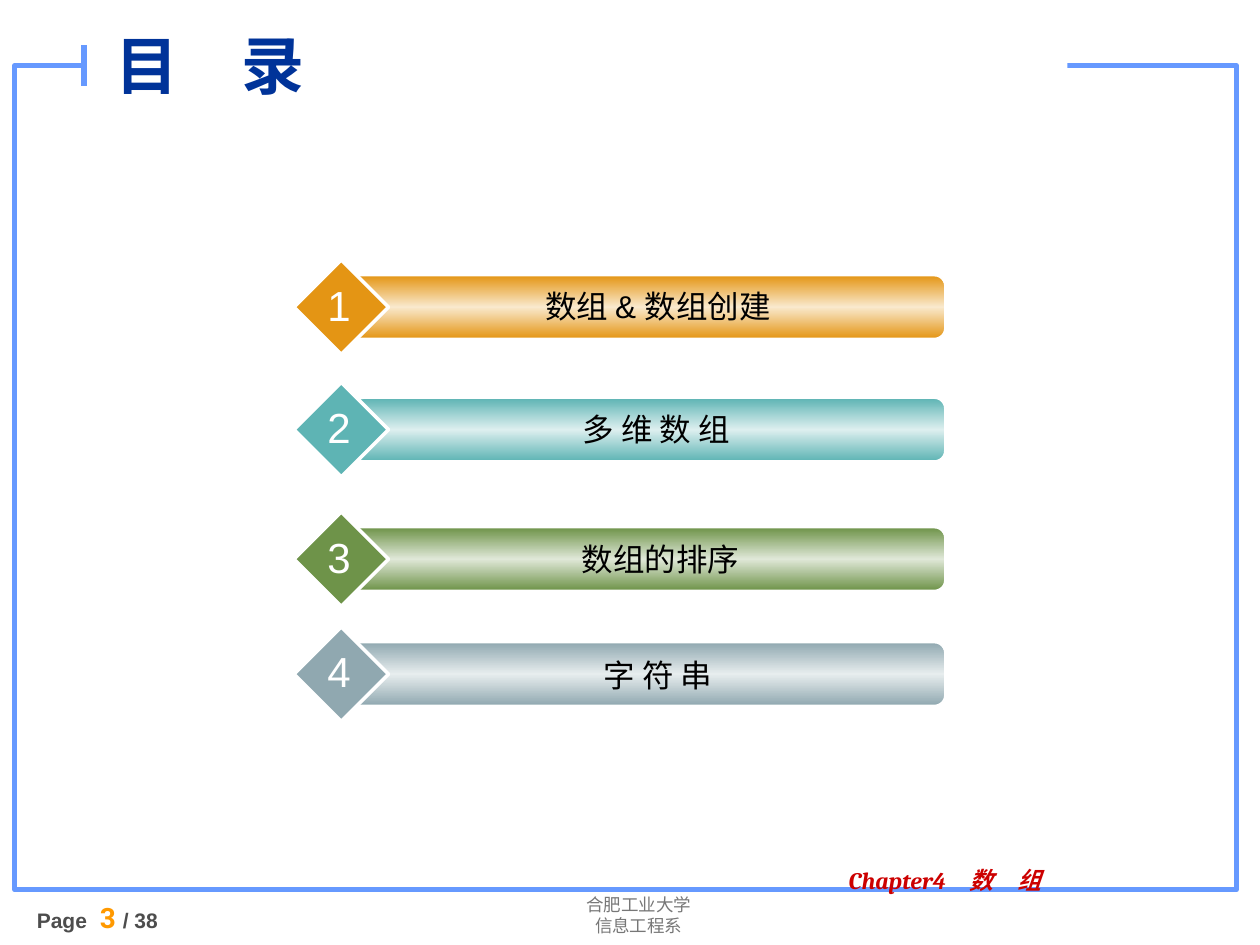
from lxml.etree import SubElement
from pptx import Presentation
from pptx.dml.color import RGBColor
from pptx.enum.shapes import MSO_CONNECTOR, MSO_SHAPE
from pptx.enum.text import MSO_ANCHOR, PP_ALIGN
from pptx.oxml.ns import qn
from pptx.util import Pt

HUES = {
    "frame": "6699FF", "white": "FFFFFF", "black": "000000",
    "title": "003399", "red": "CC0000", "gray": "777777",
    "dark": "4D4D4D", "page": "FF9900",
    "gold": "E49514", "gold_mid": "F9E9CD",
    "teal": "5EB4B4", "teal_mid": "DDEFEF",
    "green": "6E9349", "green_mid": "E0E8D8",
    "slate": "90A8B0", "slate_mid": "E7EDEE",
}

# Topic, hue, bar left, bar top, label left, label top (points)
TOPICS = [
    ("数组 & 数组创建", "gold", 198, 157.5, 216, 160.5),
    ("多 维 数 组", "teal", 202, 227.5, 215, 230.5),
    ("数组的排序", "green", 198, 301.5, 217.5, 305.3),
    ("字 符 串", "slate", 198, 367.2, 216, 371.5),
]
RIGHT, BAR_H, GEM = 540, 36, 54
SCHOOL = ["合肥工业大学", "信息工程系"]
PAGE = [("Page ", 12, "Arial", "dark"), (" 3 ", 16, "Roboto", "page"),
        ("/ 38", 12, "Arial", "dark")]


def rgb(hue):
    return RGBColor.from_string(HUES[hue])


def style(font, size, face, hue, bold=False, slant=False):
    font.size, font.name = Pt(size), face
    font.bold, font.italic = bold, slant
    font.color.rgb = rgb(hue)


def add_box(slide, x, y, w, h, lines, look, align=PP_ALIGN.LEFT, wrap=True):
    box = slide.shapes.add_textbox(Pt(x), Pt(y), Pt(w), Pt(h))
    frame = box.text_frame
    frame.word_wrap = wrap
    frame.text = "\n".join(lines)
    for para in frame.paragraphs:
        para.alignment = align
        for run in para.runs:
            style(run.font, *look)
    return frame


def add_form(slide, kind, x, y, w, h, line=None, weight=0):
    form = slide.shapes.add_shape(kind, Pt(x), Pt(y), Pt(w), Pt(h))
    form.shadow.inherit = False
    if line:
        form.line.color.rgb = rgb(line)
        form.line.width = Pt(weight)
    else:
        form.line.fill.background()
    return form


def shade(form, edge, mid):
    fill = form.fill
    fill.gradient()
    fill.gradient_angle = 270
    stops = fill._fill._gradFill.find(qn("a:gsLst"))
    for stop in list(stops):
        stops.remove(stop)
    for pos, hue in ((0, edge), (50, mid), (100, edge)):
        stop = SubElement(stops, qn("a:gs"), pos=str(pos * 1000))
        SubElement(stop, qn("a:srgbClr"), val=HUES[hue])


def add_topic(slide, num, topic):
    text, hue, left, top, text_x, text_y = topic
    bar = add_form(slide, MSO_SHAPE.ROUNDED_RECTANGLE, left, top,
                   RIGHT - left, BAR_H, "white", 1)
    shade(bar, hue, hue + "_mid")
    gem = add_form(slide, MSO_SHAPE.DIAMOND, 168, top + (BAR_H - GEM) / 2,
                   GEM, GEM, "white", 2)
    gem.fill.solid()
    gem.fill.fore_color.rgb = rgb(hue)
    add_box(slide, text_x, text_y, 320, 29, [text], (18, "Arial", "black"),
            PP_ALIGN.CENTER)
    add_box(slide, 180, top - 1.6, 27, 36, [str(num)], (24, "Arial", "white"),
            PP_ALIGN.CENTER, False)


def main():
    deck = Presentation()
    deck.slide_width, deck.slide_height = Pt(720), Pt(540)
    slide = deck.slides.add_slide(deck.slide_layouts[6])

    # Frame with a gap for the title
    frame = add_form(slide, MSO_SHAPE.RECTANGLE, 8.5, 37.5, 698, 471, "frame", 3)
    frame.fill.background()
    gap = add_form(slide, MSO_SHAPE.RECTANGLE, 48, 20, 562, 25.5)
    gap.fill.solid()
    gap.fill.fore_color.rgb = rgb("white")
    tick = slide.shapes.add_connector(MSO_CONNECTOR.STRAIGHT,
                                      Pt(48), Pt(26), Pt(48), Pt(49))
    tick.line.color.rgb = rgb("frame")
    tick.line.width = Pt(3)
    SubElement(tick._element.spPr, qn("a:effectLst"))

    # Footer
    add_box(slide, 273.5, 507.5, 183, 32, SCHOOL, (10, "Lato", "gray"),
            PP_ALIGN.CENTER)
    page = add_box(slide, 14, 511, 130, 48, [], ()).paragraphs[0]
    for text, size, face, hue in PAGE:
        run = page.add_run()
        run.text = text
        style(run.font, size, face, hue, True)
    part = add_box(slide, 466, 493, 221, 25, ["Chapter4　数　组"],
                   (13.6, "Cambria", "red", True, True))
    part.margin_left = Pt(19)
    part.paragraphs[0].line_spacing = 0.9

    # Title
    title = add_box(slide, 59, 8, 323, 57.5, ["目　录"],
                    (36, "Arial", "title", True))
    title.vertical_anchor = MSO_ANCHOR.MIDDLE

    # Topics
    for num, topic in enumerate(TOPICS, 1):
        add_topic(slide, num, topic)

    deck.save("out.pptx")


if __name__ == "__main__":
    main()
